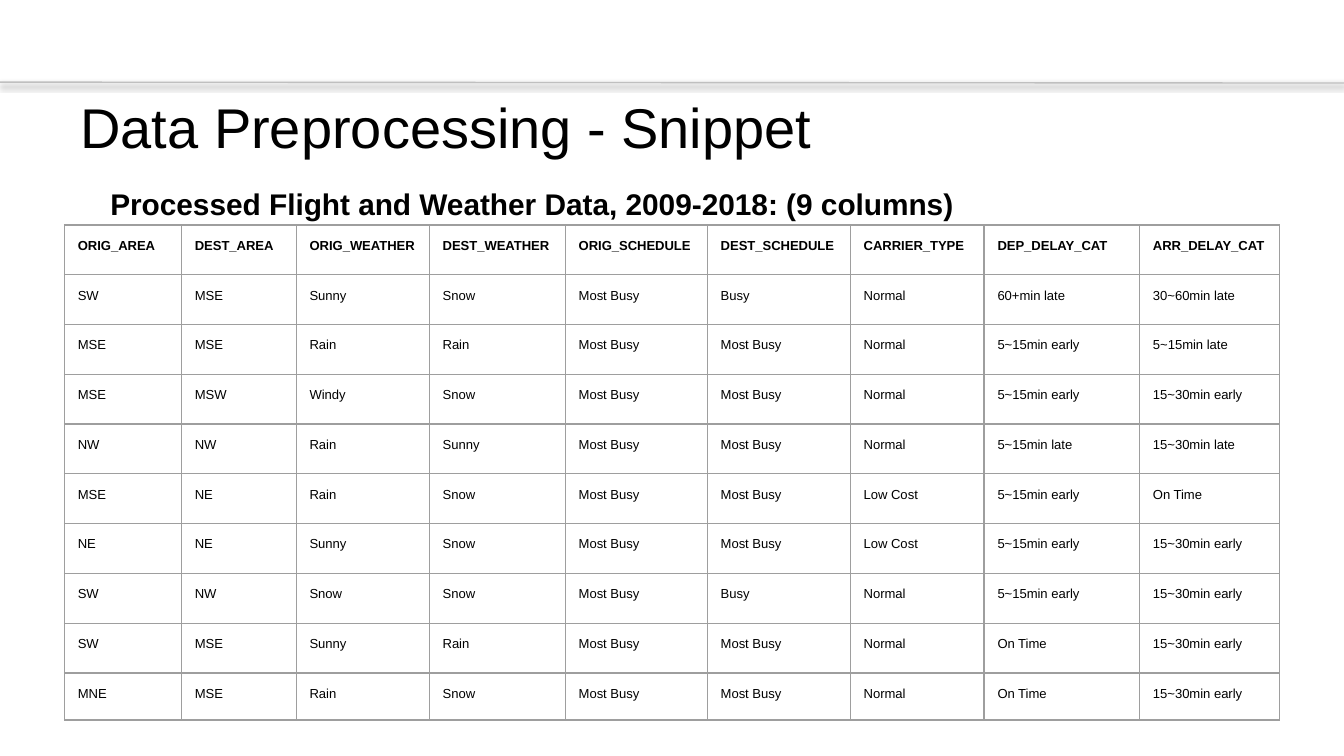
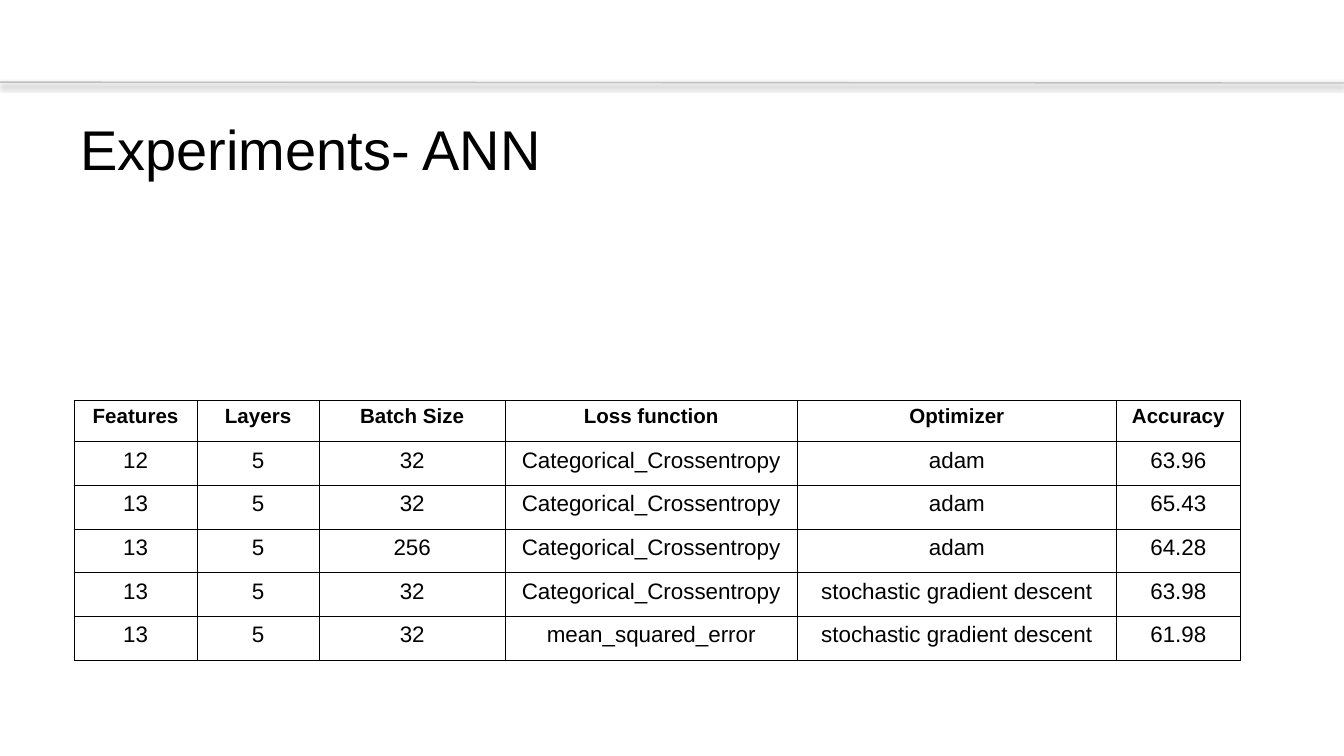
import pptx
import pptx.util
import pptx.dml.color
import pptx.enum.shapes
import pptx.enum.text
import pptx.oxml
import pptx.oxml.ns

Pt = pptx.util.Pt
RGB = pptx.dml.color.RGBColor
ALIGN = pptx.enum.text.PP_ALIGN
ANCHOR = pptx.enum.text.MSO_ANCHOR

# Shared look
FONT = "Arial"
BLACK = RGB(0x00, 0x00, 0x00)
WHITE = RGB(0xFF, 0xFF, 0xFF)
RULE = RGB(0xBF, 0xBF, 0xBF)
GREY = RGB(0x9E, 0x9E, 0x9E)
WIDTH, HEIGHT = 720, 405

# Slide content
FLIGHTS = [
    ["ORIG_AREA", "DEST_AREA", "ORIG_WEATHER", "DEST_WEATHER", "ORIG_SCHEDULE",
     "DEST_SCHEDULE", "CARRIER_TYPE", "DEP_DELAY_CAT", "ARR_DELAY_CAT"],
    ["SW", "MSE", "Sunny", "Snow", "Most Busy", "Busy", "Normal", "60+min late", "30~60min late"],
    ["MSE", "MSE", "Rain", "Rain", "Most Busy", "Most Busy", "Normal", "5~15min early", "5~15min late"],
    ["MSE", "MSW", "Windy", "Snow", "Most Busy", "Most Busy", "Normal", "5~15min early", "15~30min early"],
    ["NW", "NW", "Rain", "Sunny", "Most Busy", "Most Busy", "Normal", "5~15min late", "15~30min late"],
    ["MSE", "NE", "Rain", "Snow", "Most Busy", "Most Busy", "Low Cost", "5~15min early", "On Time"],
    ["NE", "NE", "Sunny", "Snow", "Most Busy", "Most Busy", "Low Cost", "5~15min early", "15~30min early"],
    ["SW", "NW", "Snow", "Snow", "Most Busy", "Busy", "Normal", "5~15min early", "15~30min early"],
    ["SW", "MSE", "Sunny", "Rain", "Most Busy", "Most Busy", "Normal", "On Time", "15~30min early"],
    ["MNE", "MSE", "Rain", "Snow", "Most Busy", "Most Busy", "Normal", "On Time", "15~30min early"],
]
TRIALS = [
    ["Features", "Layers", "Batch Size", "Loss function", "Optimizer", "Accuracy"],
    ["12", "5", "32", "Categorical_Crossentropy", "adam", "63.96"],
    ["13", "5", "32", "Categorical_Crossentropy", "adam", "65.43"],
    ["13", "5", "256", "Categorical_Crossentropy", "adam", "64.28"],
    ["13", "5", "32", "Categorical_Crossentropy", "stochastic gradient descent", "63.98"],
    ["13", "5", "32", "mean_squared_error", "stochastic gradient descent", "61.98"],
]


def style(para, size, bold=False):
    for run in para.runs:
        font = run.font
        font.name, font.size, font.bold = FONT, Pt(size), bold
        font.color.rgb = BLACK


def label(slide, box, text, size, bold=False, anchor=ANCHOR.TOP):
    shape = slide.shapes.add_textbox(*map(Pt, box))
    frame = shape.text_frame
    frame.word_wrap = True
    frame.vertical_anchor = anchor
    frame.text = text
    style(frame.paragraphs[0], size, bold)
    return frame


def border(cell, color, width):
    props = cell._tc.get_or_add_tcPr()
    for side in ("lnL", "lnR", "lnT", "lnB"):
        props.append(pptx.oxml.parse_xml(
            f'<a:{side} {pptx.oxml.ns.nsdecls("a")} w="{Pt(width)}">'
            f'<a:solidFill><a:srgbClr val="{color}"/></a:solidFill></a:{side}>'))


def base(deck, title, top):
    """Start a slide with the shadowed rule and the title."""
    slide = deck.slides.add_slide(deck.slide_layouts[6])
    slide.background.fill.solid()
    slide.background.fill.fore_color.rgb = WHITE
    rule = slide.shapes.add_connector(
        pptx.enum.shapes.MSO_CONNECTOR.STRAIGHT, Pt(0), Pt(44), Pt(WIDTH), Pt(44.5))
    rule.line.color.rgb = RULE
    rule.line.width = Pt(0.75)
    rule._element.spPr.append(pptx.oxml.parse_xml(
        f'<a:effectLst {pptx.oxml.ns.nsdecls("a")}>'
        f'<a:outerShdw blurRad="{Pt(3.1)}" dist="{Pt(1.6)}" dir="5400000" rotWithShape="0">'
        f'<a:srgbClr val="{BLACK}"><a:alpha val="38000"/></a:srgbClr>'
        '</a:outerShdw></a:effectLst>'))
    label(slide, (36, top, 648, 47.5), title, 30, anchor=ANCHOR.MIDDLE)
    return slide


def grid(slide, left, top, data, cols, rows, line, sizes, pads, anchors,
         align=ALIGN.LEFT, space=None):
    """Draw a table; sizes and anchors are (head, body) pairs."""
    table = slide.shapes.add_table(
        len(rows), len(cols), Pt(left), Pt(top), Pt(sum(cols)), Pt(sum(rows))).table
    table.first_row = table.horz_banding = False
    for col, width in zip(table.columns, cols):
        col.width = Pt(width)
    for i, (row, tall, words) in enumerate(zip(table.rows, rows, data)):
        row.height = Pt(tall)
        body = min(i, 1)
        for cell, word in zip(row.cells, words):
            cell.text = word
            (cell.margin_left, cell.margin_top,
             cell.margin_right, cell.margin_bottom) = map(Pt, pads)
            cell.vertical_anchor = anchors[body]
            border(cell, *line)
            cell.fill.background()
            para = cell.text_frame.paragraphs[0]
            para.alignment = align
            para.line_spacing = space
            style(para, sizes[body], not body)


def snippet(deck):
    slide = base(deck, "Data Preprocessing - Snippet", 44)
    frame = label(slide, (52, 93, 614, 27.4),
                  "Processed Flight and Weather Data, 2009-2018: (9 columns)", 16, True)
    frame.paragraphs[0].alignment = ALIGN.JUSTIFY
    frame.paragraphs[0].line_spacing = 1.15
    grid(slide, 34.5, 120.5, FLIGHTS,
         cols=(62.7, 61.5, 71.3, 72.9, 76.1, 76.6, 71.7, 83.3, 75),
         rows=[26.7] * 9 + [25.2], line=(GREY, 0.75), sizes=(7, 7),
         pads=[7.2] * 4, anchors=(ANCHOR.TOP, ANCHOR.TOP))


def trials(deck):
    slide = base(deck, "Experiments- ANN", 55.6)
    grid(slide, 39.7, 214.7, TRIALS,
         cols=(65.9, 65.4, 99.7, 156.5, 171, 66.3),
         rows=[21.7] + [23.4] * 5, line=(BLACK, 0.5), sizes=(11, 12),
         pads=(0.75, 0, 0.75, 6.8), anchors=(ANCHOR.MIDDLE, ANCHOR.BOTTOM),
         align=ALIGN.CENTER, space=1.15)


def main():
    deck = pptx.Presentation()
    deck.slide_width, deck.slide_height = Pt(WIDTH), Pt(HEIGHT)
    snippet(deck)
    trials(deck)
    deck.save("out.pptx")


if __name__ == "__main__":
    main()
